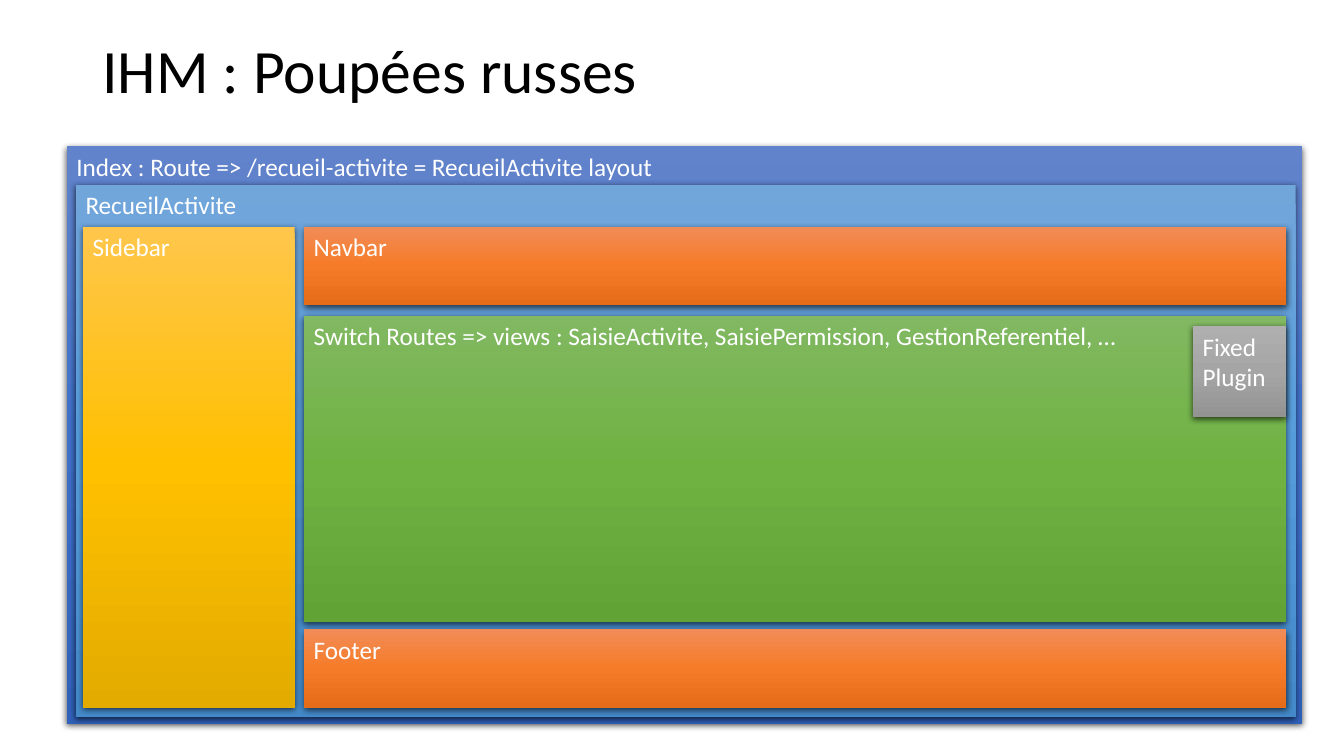
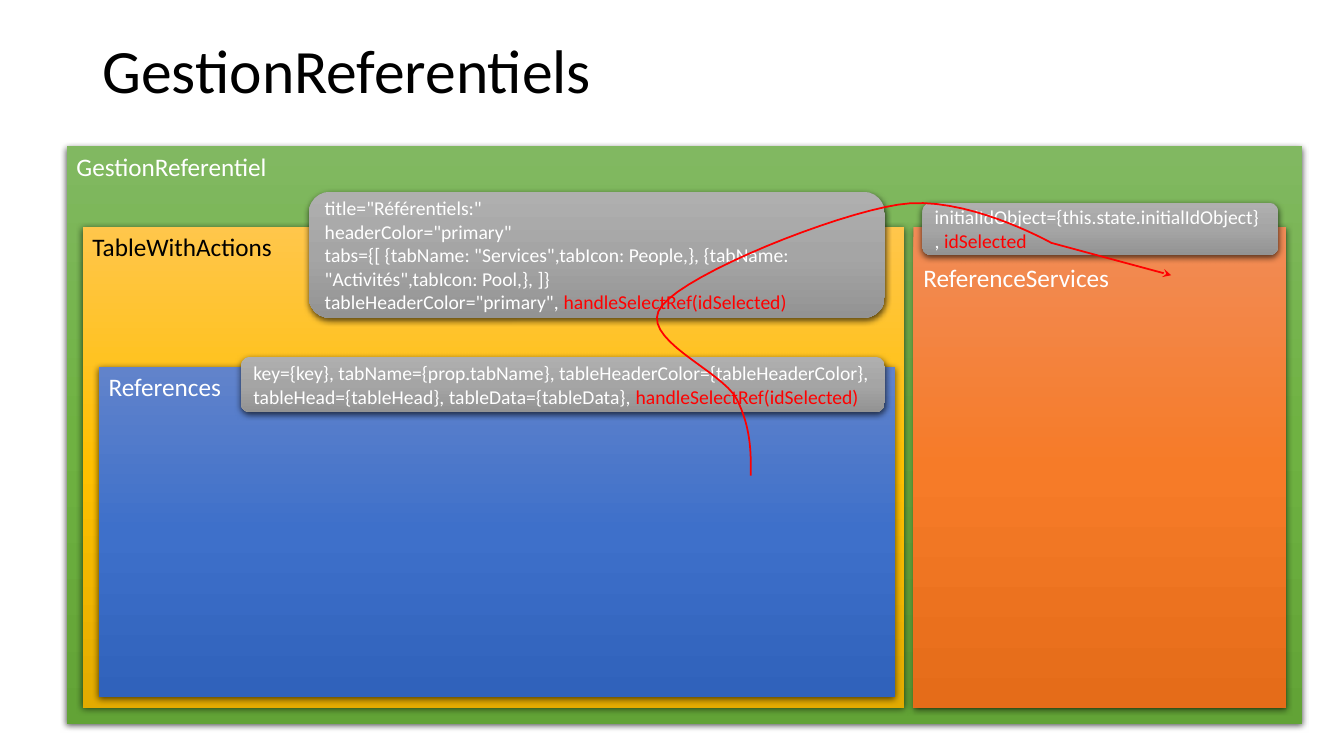
"""Build two slides showing the nested layout of a web interface."""
from copy import deepcopy

from lxml.etree import SubElement
from pptx import Presentation
from pptx.dml.color import RGBColor
from pptx.enum.shapes import MSO_SHAPE as Shape
from pptx.enum.text import MSO_ANCHOR as Anchor, PP_ALIGN as Align
from pptx.oxml.ns import qn
from pptx.util import Pt

BLACK = RGBColor(0, 0, 0)
WHITE = RGBColor(255, 255, 255)
RED = RGBColor(255, 0, 0)


def gradient(*codes):
    return [RGBColor.from_string(code) for code in codes]


BLUE = gradient("6183CB", "3E70CA", "3062BB")
SKY = gradient("71A6DB", "559BDB", "448ACA")
GOLD = gradient("FFC64B", "FFC000", "E3AB00")
ORANGE = gradient("F18C57", "F67B28", "E56C19")
GREEN = gradient("81B861", "6FB242", "62A336")
GREY = gradient("AFAFAF", "A5A5A5", "939393")

FRAME = (47.5, 104.5, 882.8, 412.5)
LEFT, TOP, RIGHT, BOTTOM = 59, 162, 918.5, 505.5
INNER_HEIGHT = BOTTOM - TOP


class Deck:
    font = "Calibri"
    label_size, props_size, title_size = 18, 14, 44
    shadow = {"blurRad": Pt(4.5), "dist": Pt(1.5), "dir": 5400000,
              "algn": "ctr", "rotWithShape": 0}
    shadow_alpha = 63000

    def __init__(self):
        self.prs = Presentation()
        self.prs.slide_width, self.prs.slide_height = Pt(960), Pt(540)
        self.slide = None

    def apply(self, target, **values):
        for name, value in values.items():
            setattr(target, name, value)

    def add_slide(self, heading):
        self.slide = self.prs.slides.add_slide(self.prs.slide_layouts[5])
        title = self.slide.shapes.title
        self.apply(title, left=Pt(66), top=Pt(0), width=Pt(828), height=Pt(104.4))
        title.text_frame.vertical_anchor = Anchor.MIDDLE
        self.fill_text(title.text_frame, [[(heading, BLACK)]], self.title_size)
        title.text_frame.paragraphs[0].line_spacing = 0.9

    def fill_text(self, frame, lines, size):
        for index, pieces in enumerate(lines):
            paragraph = frame.add_paragraph() if index else frame.paragraphs[0]
            paragraph.alignment = Align.LEFT
            for text, color in pieces:
                run = paragraph.add_run()
                run.text = text
                self.apply(run.font, name=self.font, size=Pt(size))
                run.font.color.rgb = color

    def paint(self, shape, colors):
        shape.fill.gradient()
        shape.fill.gradient_angle = 270
        properties = shape._element.spPr
        stops = properties.find(".//" + qn("a:gsLst"))
        stops.insert(1, deepcopy(stops[0]))
        for stop, color, position in zip(shape.fill.gradient_stops, colors, (0, 0.5, 1)):
            stop.color.rgb = color
            stop.position = position
        shape.line.fill.background()
        shape.shadow.inherit = False
        effects = properties.find(qn("a:effectLst"))
        shade = SubElement(effects, qn("a:outerShdw"),
                           {name: str(value) for name, value in self.shadow.items()})
        tone = SubElement(shade, qn("a:srgbClr"), val=str(BLACK))
        SubElement(tone, qn("a:alpha"), val=str(self.shadow_alpha))

    def panel(self, kind, place, colors, lines, size, **frame_format):
        shape = self.slide.shapes.add_shape(kind, *map(Pt, place))
        self.paint(shape, colors)
        self.apply(shape.text_frame, word_wrap=True, **frame_format)
        self.fill_text(shape.text_frame, lines, size)

    def block(self, place, colors, label, color=WHITE, margin_top=3.6):
        self.panel(Shape.RECTANGLE, place, colors, [[(label, color)]], self.label_size,
                   vertical_anchor=Anchor.TOP, margin_top=Pt(margin_top))

    def props(self, place, lines, callback):
        rows = [[(line, WHITE)] for line in lines]
        rows[-1].append((callback, RED))
        self.panel(Shape.ROUNDED_RECTANGLE, place, GREY, rows, self.props_size,
                   vertical_anchor=Anchor.MIDDLE)

    def arrow(self, start, curves, tip, steps=16):
        points, origin = [], start
        for curve in curves:
            corners = (origin, *curve)
            for step in range(1, steps + 1):
                t = step / steps
                weights = ((1 - t) ** 3, 3 * t * (1 - t) ** 2, 3 * t * t * (1 - t), t ** 3)
                points.append(tuple(
                    Pt(sum(w * corner[axis] for w, corner in zip(weights, corners)))
                    for axis in (0, 1)))
            origin = curve[-1]
        points.append(tuple(map(Pt, tip)))
        builder = self.slide.shapes.build_freeform(*map(Pt, start))
        builder.add_line_segments(points, close=False)
        route = builder.convert_to_shape()
        route.fill.background()
        route.shadow.inherit = False
        route.line.color.rgb = RED
        route.line.width = Pt(1.25)
        outline = route._element.spPr.find(qn("a:ln"))
        SubElement(outline, qn("a:tailEnd"), type="stealth")


deck = Deck()

deck.add_slide("IHM : Poupées russes")
view_left, bar_height = 217, 56
view_width = RIGHT - view_left
plugin_width = 66.5
deck.block(FRAME, BLUE, "Index : Route => /recueil-activite = RecueilActivite layout")
deck.block((54, 132, 871.5, 380), SKY, "RecueilActivite")
deck.block((LEFT, TOP, 151.5, INNER_HEIGHT), GOLD, "Sidebar")
deck.block((view_left, TOP, view_width, bar_height), ORANGE, "Navbar")
deck.block((view_left, 225.5, view_width, 219), GREEN,
           "Switch Routes => views : SaisieActivite, SaisiePermission, GestionReferentiel, …")
deck.block((view_left, BOTTOM - bar_height, view_width, bar_height), ORANGE, "Footer")
deck.block((RIGHT - plugin_width, 233, plugin_width, 65), GREY, "Fixed Plugin")

deck.add_slide("GestionReferentiels")
services_left = 652.5
props_right = 632
deck.block(FRAME, GREEN, "GestionReferentiel")
deck.block((LEFT, TOP, 587, INNER_HEIGHT), GOLD, "TableWithActions", BLACK)
deck.props((220.5, 137, props_right - 220.5, 90), [
    'title="Référentiels:"',
    'headerColor="primary"',
    'tabs={[ {tabName: "Services",tabIcon: People,}, {tabName: "Activités",tabIcon: Pool,}, ]}',
    'tableHeaderColor="primary", ',
], "handleSelectRef(idSelected)")
deck.block((services_left, TOP, RIGHT - services_left, INNER_HEIGHT), ORANGE,
           "ReferenceServices", margin_top=25.2)
deck.props((658.8, 144.8, 254.2, 37.4),
           ["initialIdObject={this.state.initialIdObject} , "], "idSelected")
deck.block((70.5, 262, 569, 236.2), BLUE, "References")
deck.props((172, 254.8, props_right - 172, 39.6), [
    "key={key}, tabName={prop.tabName}, tableHeaderColor={tableHeaderColor}, "
    "tableHead={tableHead}, tableData={tableData}, ",
], "handleSelectRef(idSelected)")
deck.arrow((536.4, 339.8), [
    ((536.4, 322.6), (536.4, 305.3), (526.3, 285.1)),
    ((515.5, 264.2), (453.6, 241.2), (473, 218.2)),
    ((492.5, 194.4), (595.4, 153.4), (641.5, 146.2)),
    ((688.3, 138.2), (751, 173.5), (751, 173.5)),
], (836.6, 196.6))

deck.prs.save("out.pptx")
